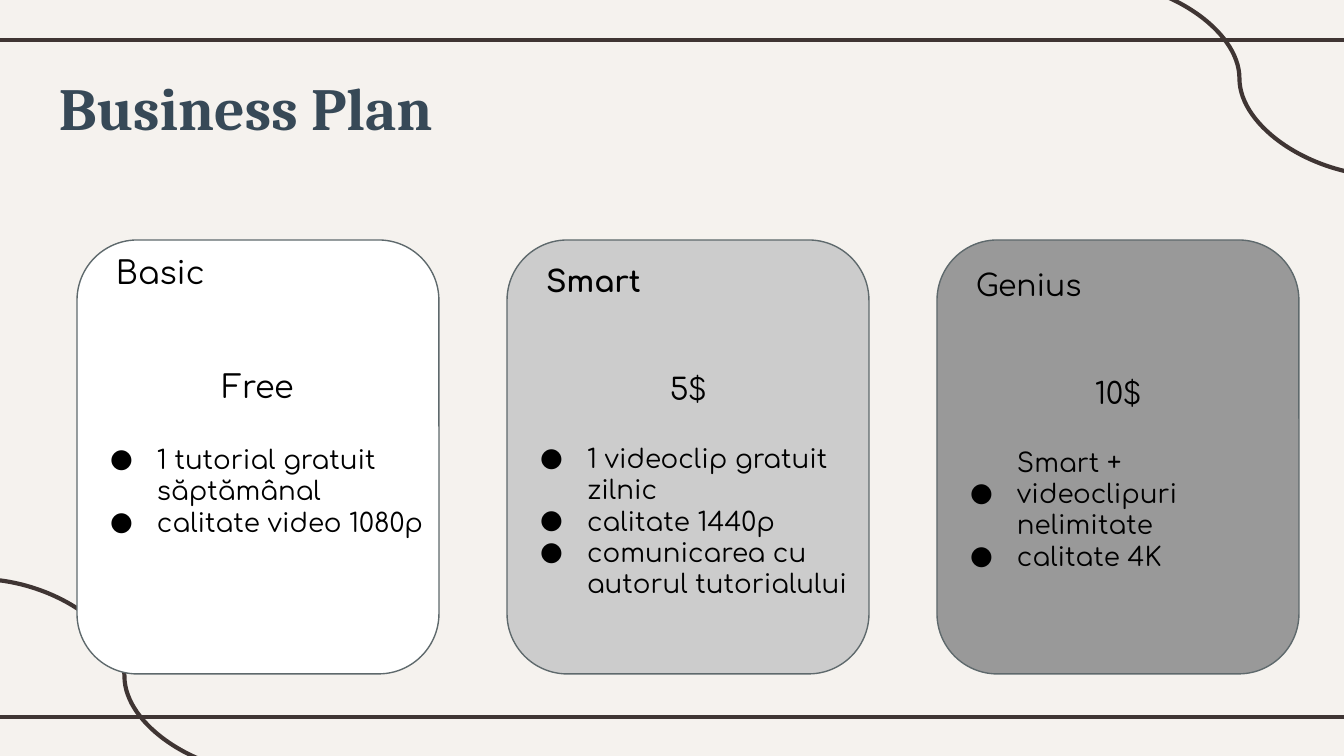
import lxml.etree
import pptx
import pptx.dml.color
import pptx.enum.shapes
import pptx.enum.text
import pptx.oxml.ns
import pptx.util
from dataclasses import dataclass

EMU_PER_PIXEL = 914400 / 134.4


def px(pixels):
    """Turn whole pixels into EMU."""
    return pptx.util.Emu(round(pixels * EMU_PER_PIXEL))


def rgb(code):
    """Turn a hex code into a colour."""
    return pptx.dml.color.RGBColor.from_string(code)


@dataclass(frozen=True)
class Theme:
    """Colours, fonts and type sizes of the slide."""
    background: str = "F5F2EE"
    rule: str = "3F3533"
    heading: str = "374957"
    body: str = "000000"
    border: str = "5E696C"
    heading_font: str = "Cambria"
    body_font: str = "Comfortaa"
    heading_size: int = 32
    feature_size: int = 14
    rule_width: float = 2.25
    border_width: float = 0.75
    line_height: float = 1.2


class PlanSlide:
    """Holds the theme and the slide, and draws each kind of element."""

    def __init__(self, slide, theme):
        """Keep the slide and paint its background."""
        self.slide, self.theme = slide, theme
        slide.background.fill.solid()
        slide.background.fill.fore_color.rgb = rgb(theme.background)

    def rule(self, start, end, kind=pptx.enum.shapes.MSO_CONNECTOR.STRAIGHT):
        """Draw a decorative line or curve."""
        rule = self.slide.shapes.add_connector(
            kind, *(px(value) for value in (*start, *end)))
        rule.line.color.rgb = rgb(self.theme.rule)
        rule.line.width = pptx.util.Pt(self.theme.rule_width)
        lxml.etree.SubElement(rule._element.spPr, pptx.oxml.ns.qn("a:effectLst"))

    def card(self, left, top, width, height, fill):
        """Draw a rounded card."""
        card = self.slide.shapes.add_shape(
            pptx.enum.shapes.MSO_SHAPE.ROUNDED_RECTANGLE,
            px(left), px(top), px(width), px(height))
        card.shadow.inherit = False
        card.fill.solid()
        card.fill.fore_color.rgb = rgb(fill)
        card.line.color.rgb = rgb(self.theme.border)
        card.line.width = pptx.util.Pt(self.theme.border_width)

    def text_frame(self, left, top, width, height):
        """Add a wrapping text box and return its frame."""
        frame = self.slide.shapes.add_textbox(
            px(left), px(top), px(width), px(height)).text_frame
        frame.word_wrap = True
        frame.margin_left = frame.margin_right = px(13)
        frame.margin_top = frame.margin_bottom = px(13)
        return frame

    def set_text(self, paragraph, text, size, font, color, bold=False):
        """Fill a paragraph and format its runs."""
        paragraph.text = text
        for run in paragraph.runs:
            run.font.size = pptx.util.Pt(size)
            run.font.name = font
            run.font.bold = bold
            run.font.color.rgb = rgb(color)

    def heading(self, text, *box):
        """Add the slide heading."""
        theme = self.theme
        self.set_text(self.text_frame(*box).paragraphs[0], text, theme.heading_size,
                      theme.heading_font, theme.heading, bold=True)

    def indent(self, paragraph, margin, first=0):
        """Set the left margin and first-line indent."""
        properties = paragraph._p.get_or_add_pPr()
        properties.set("marL", str(px(margin)))
        properties.set("indent", str(px(first)))

    def bullet(self, paragraph):
        """Give a paragraph a hanging round bullet."""
        self.indent(paragraph, 67, -47)
        properties = paragraph._p.get_or_add_pPr()
        qn = pptx.oxml.ns.qn
        color = lxml.etree.SubElement(properties, qn("a:buClr"))
        lxml.etree.SubElement(color, qn("a:srgbClr"), val=self.theme.body)
        lxml.etree.SubElement(properties, qn("a:buFont"), typeface=self.theme.body_font)
        lxml.etree.SubElement(properties, qn("a:buChar"), char="●")

    def offer(self, box, plan):
        """Add a plan's name, price and features."""
        theme, size = self.theme, plan["size"]
        frame = self.text_frame(*box)
        frame.auto_size = pptx.enum.text.MSO_AUTO_SIZE.SHAPE_TO_FIT_TEXT
        line = size * theme.line_height

        name = frame.paragraphs[0]
        self.set_text(name, plan["name"], size, theme.body_font, theme.body,
                      plan.get("bold", False))
        self.indent(name, 26)

        price = frame.add_paragraph()
        self.set_text(price, plan["price"], size, theme.body_font, theme.body)
        price.alignment = pptx.enum.text.PP_ALIGN.CENTER
        price.space_before = pptx.util.Pt(2 * line)
        price.space_after = pptx.util.Pt(line)

        if "includes" in plan:
            includes = frame.add_paragraph()
            self.set_text(includes, plan["includes"], theme.feature_size,
                          theme.body_font, theme.body)
            self.indent(includes, 0, 67)
        for text in plan["features"]:
            feature = frame.add_paragraph()
            self.set_text(feature, text, theme.feature_size, theme.body_font, theme.body)
            self.bullet(feature)


PLANS = [
    {"name": "Basic", "price": "Free", "size": 17, "fill": "FFFFFF",
     "top": 240, "height": 314,
     "features": ["1 tutorial gratuit săptămânal", "calitate video 1080p"]},
    {"name": "Smart", "price": "5$", "size": 16, "fill": "CCCCCC", "bold": True,
     "top": 250, "height": 398,
     "features": ["1 videoclip gratuit zilnic", "calitate 1440p",
                  "comunicarea cu autorul tutorialului"]},
    {"name": "Genius", "price": "10$", "size": 16, "fill": "999999",
     "top": 254, "height": 367, "includes": "Smart +",
     "features": ["videoclipuri nelimitate", "calitate 4K"]},
]
CARD_LEFT, CARD_TOP, CARD_WIDTH, CARD_HEIGHT, CARD_PITCH = 77, 240, 362, 434, 430


def main():
    """Build and save the slide."""
    deck = pptx.Presentation()
    deck.slide_width, deck.slide_height = px(1344), px(756)
    page = PlanSlide(deck.slides.add_slide(deck.slide_layouts[6]), Theme())

    for y in (717, 40):
        page.rule((-11, y), (1355, y))
    for x, y in ((1093, -19), (-22, 579)):
        page.rule((x, y), (x + 293, y + 195), pptx.enum.shapes.MSO_CONNECTOR.CURVE)
    page.heading("Business Plan", 46, 58, 1253, 91)

    for column, plan in enumerate(PLANS):
        left = CARD_LEFT + column * CARD_PITCH
        page.card(left, CARD_TOP, CARD_WIDTH, CARD_HEIGHT, plan["fill"])
        page.offer((left, plan["top"], CARD_WIDTH, plan["height"]), plan)

    deck.save("out.pptx")


main()
